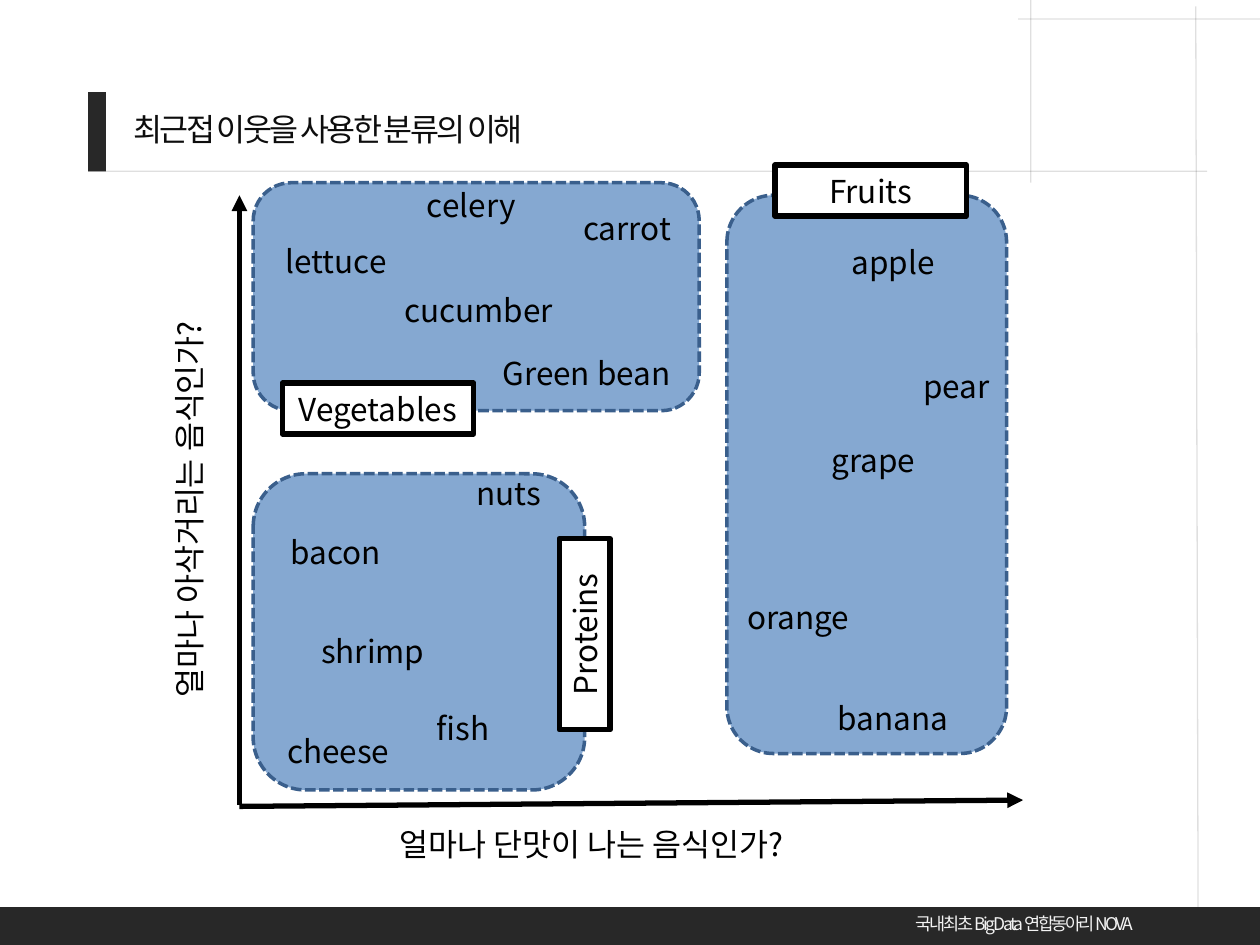
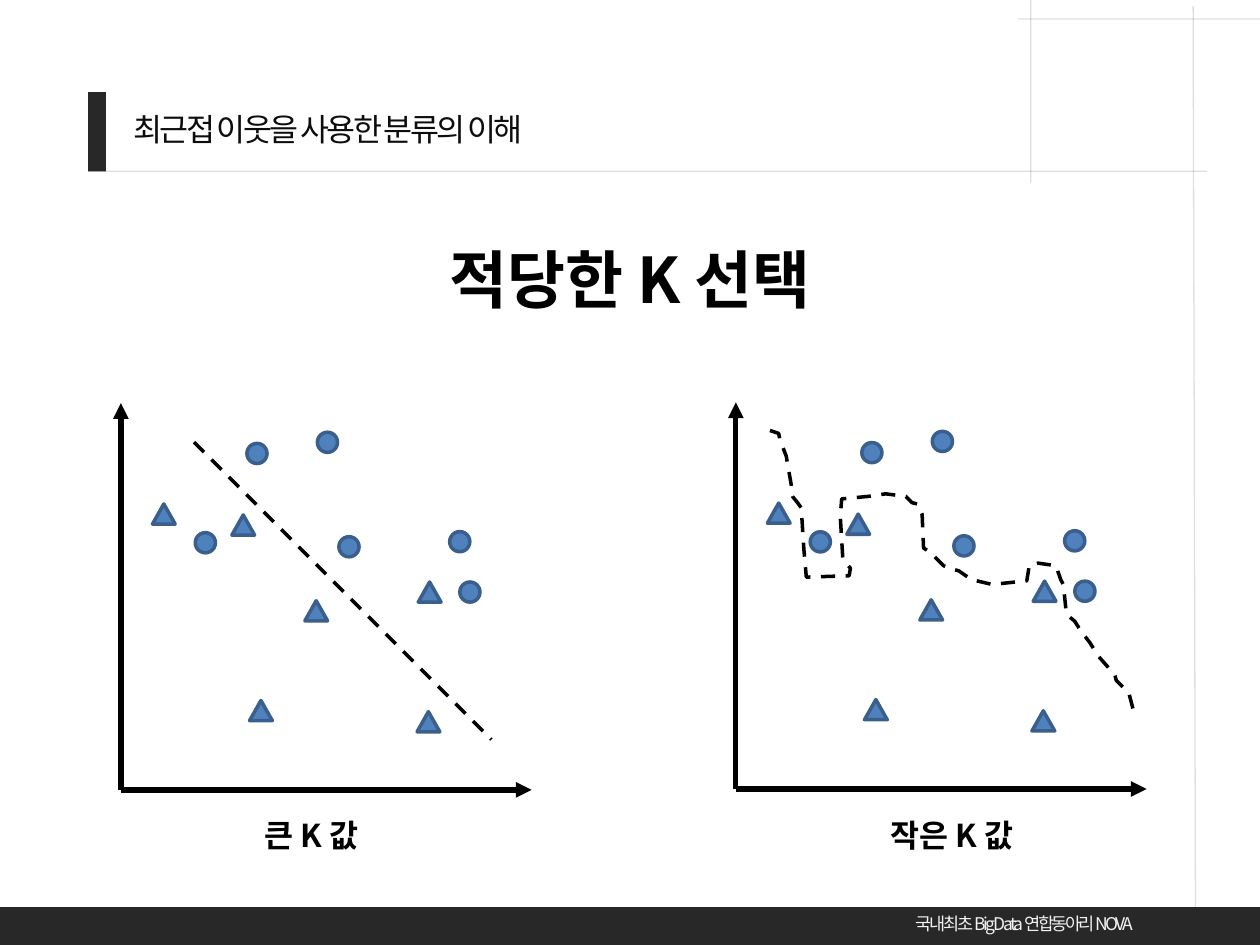
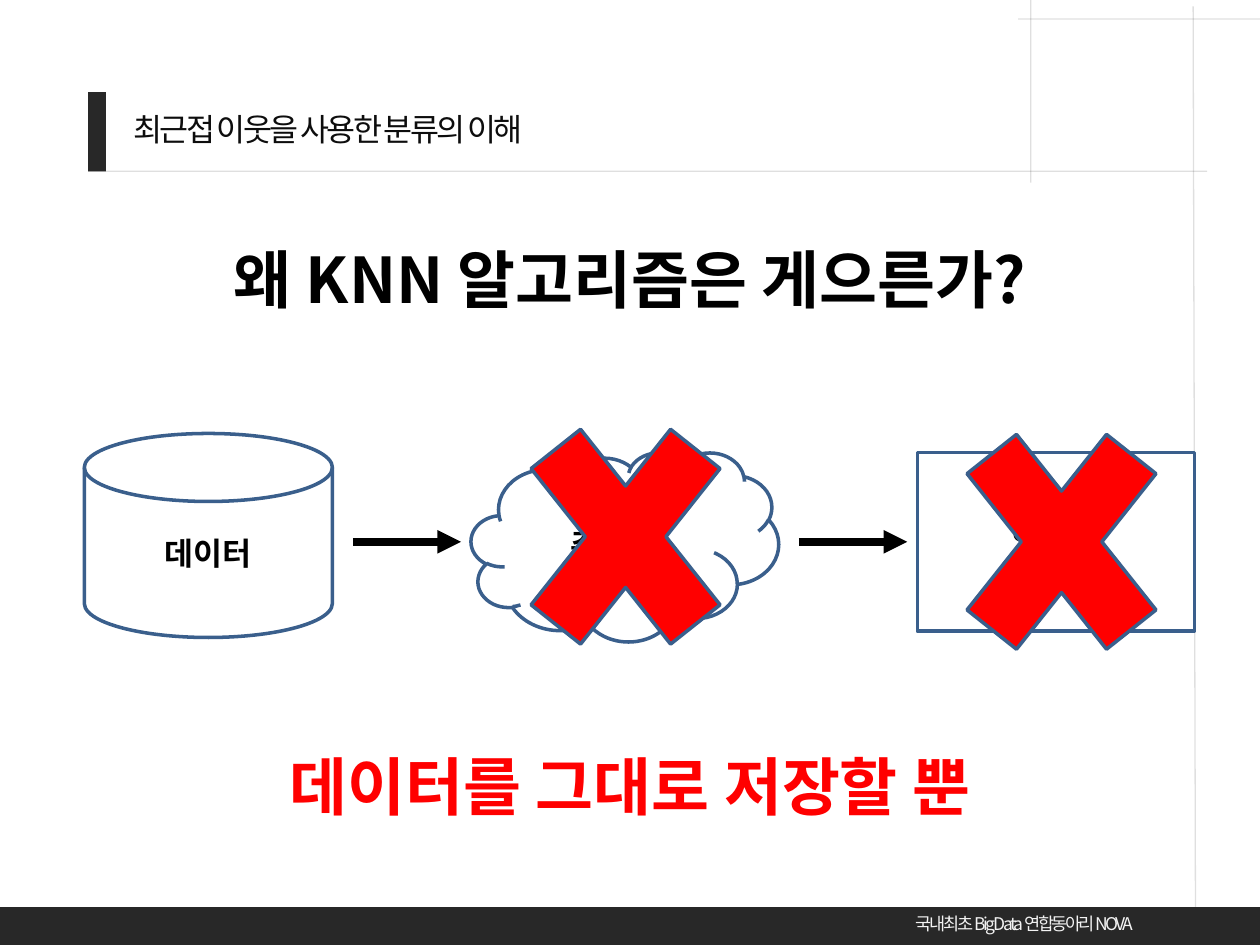
import pptx
import pptx.util
import pptx.dml.color
import pptx.enum.dml
import pptx.enum.shapes
import pptx.enum.text
import pptx.oxml
import pptx.oxml.ns

Pt = pptx.util.Pt
SHAPE = pptx.enum.shapes.MSO_SHAPE
DASH = pptx.enum.dml.MSO_LINE
ANCHOR = pptx.enum.text.MSO_ANCHOR
ALIGN = pptx.enum.text.PP_ALIGN
FIT = pptx.enum.text.MSO_AUTO_SIZE

FONT = "Noto Sans CJK KR"
BLACK, WHITE, RED = "000000", "FFFFFF", "FF0000"
DARK, INK, PALE = "282828", "0D0D0D", "F2F2F2"
BLUE, NAVY = "4F81BD", "3A5F8C"

TITLE = "최근접 이웃을 사용한 분류의 이해"
FOOTER = "국내 최초 Big Data 연합동아리 NOVA"
GUIDES = [
    ((581.8, 10.8), (720, 10.8)),
    ((589, 0), (589, 104.4)),
    ((50.4, 97.9), (689.8, 97.9)),
]

FOOD_AREAS = [
    (144.7, 270.7, 189.4, 180.7),
    (415.4, 111.6, 159.8, 319),
    (144.7, 104.4, 254.9, 130.3),
]
FOOD_AXES = [((136.8, 460.1), (136.8, 111.6)), ((136.8, 460.8), (584.6, 457.2))]
FOOD_AXIS_LABELS = [
    ("얼마나 아삭거리는 음식인가?", -190.8, 92.2, 270),
    ("얼마나 단맛이 나는 음식인가?", 221, 468, 0),
]
FOODS = [
    ("lettuce", 156.2, 134.6), ("celery", 236.9, 103), ("carrot", 326.2, 115.9),
    ("apple", 479.5, 135.4), ("cucumber", 223.9, 162.7), ("Green bean", 280.1, 198.7),
    ("pear", 520.6, 205.9), ("nuts", 265, 267.1), ("grape", 468, 248.4),
    ("bacon", 159.1, 301), ("shrimp", 176.4, 357.8), ("orange", 419.8, 338.4),
    ("banana", 471.6, 396), ("fish", 242.6, 401.8), ("cheese", 157, 414.7),
]
FOOD_GROUPS = [
    ("Vegetables", 161.3, 218.9, 0),
    ("Fruits", 442.8, 94.3, 0),
    ("Proteins", 279.4, 347.8, 270),
]

K_HEADING = "적당한 K 선택"
K_PLOTS = [("큰 K 값", 0, 0, 144, 85.7), ("작은 K 값", 351.4, -0.5, 501.8, 124.6)]
K_AXES = [((69.1, 451.4), (69.1, 230.4)), ((69.1, 451.4), (303.8, 451.4))]
K_MARKS = [
    (SHAPE.OVAL, 11.5, [(141.1, 253.4), (111.6, 304.4), (262.8, 332.6),
                        (257, 303.8), (193.7, 306.7), (181.4, 247)]),
    (SHAPE.ISOSCELES_TRIANGLE, 13, [(87.1, 288), (132.5, 294.3), (174.2, 343.3),
                                    (238.3, 406.7), (239, 332.6), (142.6, 400.3)]),
]
LARGE_K_BORDER = ((110.9, 252.7), (280.8, 422.6))
SMALL_K_BORDER = [
    (440, 246), (445, 247.7), (445.7, 251.3), (449.3, 260.6), (452.2, 277.2),
    (452.9, 283.7), (455.8, 287.3), (457.9, 290.2), (459.4, 313.9), (460.8, 329.8),
    (485.3, 329), (486, 324.7), (481.7, 319.7), (480.2, 295.2), (481, 285.1),
    (496.1, 283.7), (506.2, 282.2), (517.7, 283.7), (521.3, 287.3), (524.2, 288),
    (527, 294), (527.8, 313.2), (531.4, 315.4), (539.3, 323.3), (542.2, 324.7),
    (547.9, 326.2), (555.1, 331.2), (567, 334), (586.8, 331.9), (588.2, 323.3),
    (593.3, 321.8), (603.4, 323.3), (606.2, 331.2), (607.7, 334.1), (609.1, 347.8),
    (609.8, 351.4), (614.2, 355), (617.8, 360.7), (622.8, 367.2), (627.8, 375.1),
    (632.9, 380.9), (637.2, 385.9), (637.9, 388.8), (645.1, 396), (648.7, 409.7),
]

LAZY_HEADING = "왜 KNN 알고리즘은 게으른가?"
LAZY_STEPS = [
    ("데이터", SHAPE.FLOWCHART_MAGNETIC_DISK, (48.2, 247.7, 141.8, 116.6)),
    ("추상화", SHAPE.CLOUD, (269.3, 258.5, 175.7, 108)),
    ("일반화", SHAPE.RECTANGLE, (524.2, 258.5, 158.4, 102.2)),
]
LAZY_ARROWS = [((201.6, 309.6), (263.5, 309.6)), ((456.5, 309.6), (518.4, 309.6))]
LAZY_CROSSES = [(280.8, 210.2), (529.9, 213.1)]
LAZY_CONCLUSION = "데이터를 그대로 저장할 뿐"


def color(value):
    return pptx.dml.color.RGBColor.from_string(value)


def add_xml(parent, tag, **attributes):
    child = pptx.oxml.parse_xml(f"<a:{tag} {pptx.oxml.ns.nsdecls('a')}/>")
    for name, value in attributes.items():
        child.set(name, value)
    parent.append(child)
    return child


def set_alpha(fill, percent):
    add_xml(fill._xPr.find(".//" + pptx.oxml.ns.qn("a:srgbClr")), "alpha", val=str(percent * 1000))


def style_line(line, ink, width, dash=None):
    line.color.rgb = color(ink)
    line.width = Pt(width)
    if dash:
        line.dash_style = dash


def write(frame, text, size=18, ink=BLACK, bold=False, align=ALIGN.LEFT, font=FONT, spacing=0):
    frame.text = text
    para = frame.paragraphs[0]
    para.alignment = align
    for span in para.runs:
        span.font.size = Pt(size)
        span.font.bold = bold
        span.font.name = font
        span.font.color.rgb = color(ink)
        properties = span.font._element
        add_xml(properties, "ea", typeface=FONT)
        if spacing:
            properties.set("spc", str(round(spacing * 100)))


def add_text(page, text, left, top, width, height=29.1, wrap=True, rotation=0, **style):
    box = page.shapes.add_textbox(Pt(left), Pt(top), Pt(width), Pt(height))
    box.rotation = rotation
    box.text_frame.word_wrap = wrap
    box.text_frame.auto_size = FIT.SHAPE_TO_FIT_TEXT
    write(box.text_frame, text, **style)


def add_shape(page, kind, area, fill, line=None):
    shape = page.shapes.add_shape(kind, *map(Pt, area))
    shape.shadow.inherit = False
    shape.fill.solid()
    shape.fill.fore_color.rgb = color(fill)
    if line:
        style_line(shape.line, *line)
    else:
        shape.line.fill.background()
    return shape


def add_line(page, start, end, width, ink=BLACK, dash=None, arrow=False):
    line = page.shapes.add_connector(
        pptx.enum.shapes.MSO_CONNECTOR.STRAIGHT, *map(Pt, start + end))
    style_line(line.line, ink, width, dash)
    if arrow:
        add_xml(line.line._get_or_add_ln(), "tailEnd", type="triangle")
    add_xml(line._element.spPr, "effectLst")
    return line


def add_heading(page, text, top, ink=BLACK):
    add_text(page, text, 36, top, 648, 51, size=36, bold=True, align=ALIGN.CENTER, ink=ink)


def add_page(deck, margin):
    page = deck.slides.add_slide(deck.slide_layouts[5])
    for start, end in GUIDES + [((margin, 3.6), (margin + 1.4, 540))]:
        set_alpha(add_line(page, start, end, 0.75, INK).line.fill, 12)
    add_shape(page, SHAPE.RECTANGLE, (50.4, 52.6, 10.1, 45.4), DARK)
    add_shape(page, SHAPE.RECTANGLE, (0, 518.4, 720, 21.6), DARK)
    title = page.shapes.title
    title.left, title.top, title.width, title.height = map(Pt, (69.1, 59, 375.8, 29.1))
    title.text_frame.vertical_anchor = ANCHOR.TOP
    title.text_frame.auto_size = FIT.SHAPE_TO_FIT_TEXT
    write(title.text_frame, TITLE, ink=INK, font="Arial", spacing=-1.5)
    add_text(page, FOOTER, 516.2, 518.4, 151.2, 19.4, wrap=False,
             size=10, ink=PALE, spacing=-1.5)
    return page


def build_foods(deck):
    page = add_page(deck, 683.3)
    for area in FOOD_AREAS:
        shape = add_shape(page, SHAPE.ROUNDED_RECTANGLE, area, BLUE, (NAVY, 2, DASH.SQUARE_DOT))
        set_alpha(shape.fill, 69)
    for start, end in FOOD_AXES:
        add_line(page, start, end, 3, arrow=True)
    for text, left, top, rotation in FOOD_AXIS_LABELS:
        add_text(page, text, left, top, 598.3, rotation=rotation)
    for text, left, top in FOODS:
        add_text(page, text, left, top, 209.5)
    for text, left, top, rotation in FOOD_GROUPS:
        label = add_shape(page, SHAPE.RECTANGLE, (left, top, 109.4, 29.1), WHITE, (BLACK, 3))
        label.rotation = rotation
        write(label.text_frame, text, align=ALIGN.CENTER)


def build_k_choice(deck):
    page = add_page(deck, 681.8)
    add_heading(page, K_HEADING, 133.9)
    for caption, across, down, caption_left, caption_width in K_PLOTS:
        for start, end in K_AXES:
            add_line(page, (start[0] + across, start[1] + down),
                     (end[0] + across, end[1] + down), 3, arrow=True)
        for kind, width, places in K_MARKS:
            for left, top in places:
                add_shape(page, kind, (left + across, top + down, width, 11.5), BLUE, (NAVY, 2))
        add_text(page, caption, caption_left, 463, caption_width, bold=True)
    add_line(page, *LARGE_K_BORDER, 2, dash=DASH.DASH)
    points = [(Pt(x), Pt(y)) for x, y in SMALL_K_BORDER]
    builder = page.shapes.build_freeform(*points[0])
    builder.add_line_segments(points[1:], close=False)
    border = builder.convert_to_shape()
    border.shadow.inherit = False
    border.fill.background()
    style_line(border.line, BLACK, 2, DASH.DASH)


def build_lazy_learning(deck):
    page = add_page(deck, 681.8)
    add_heading(page, LAZY_HEADING, 133.9)
    for text, kind, area in LAZY_STEPS:
        step = add_shape(page, kind, area, WHITE, (NAVY, 2))
        write(step.text_frame, text, bold=True, align=ALIGN.CENTER)
    for start, end in LAZY_ARROWS:
        add_line(page, start, end, 4.5, arrow=True)
    for left, top in LAZY_CROSSES:
        add_shape(page, SHAPE.MATH_MULTIPLY, (left, top, 153.4, 193), RED, (NAVY, 2))
    add_heading(page, LAZY_CONCLUSION, 423.4, RED)


def main():
    deck = pptx.Presentation()
    deck.slide_width, deck.slide_height = Pt(720), Pt(540)
    build_foods(deck)
    build_k_choice(deck)
    build_lazy_learning(deck)
    deck.save("out.pptx")


if __name__ == "__main__":
    main()
